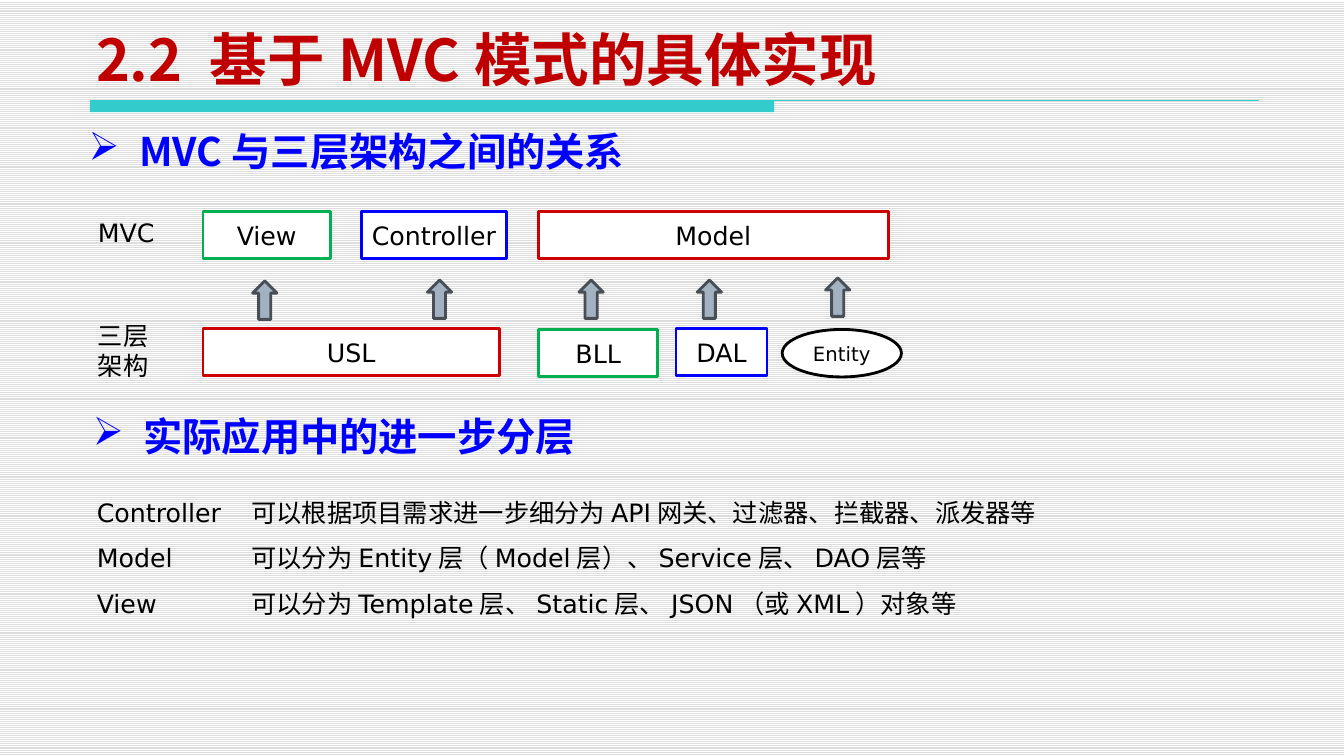
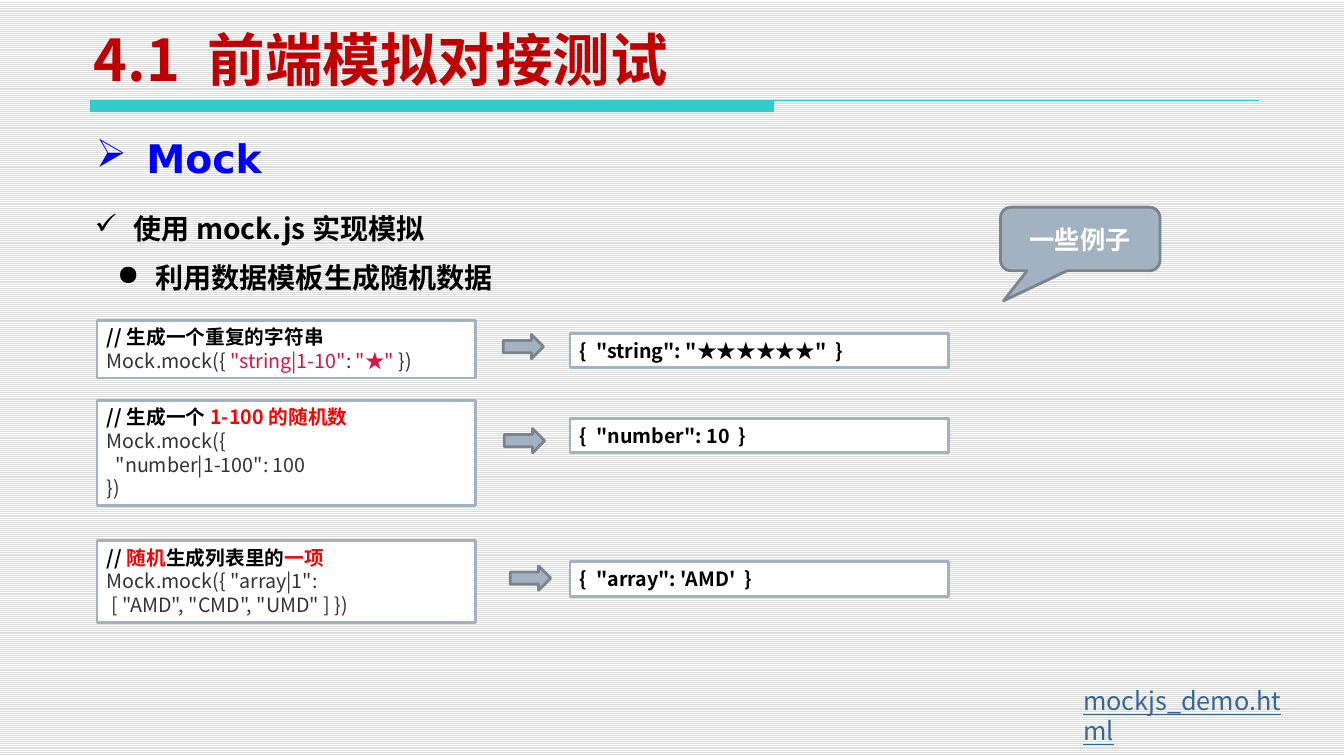
from lxml.etree import SubElement
from pptx import Presentation
from pptx.dml.color import RGBColor
from pptx.enum.dml import MSO_PATTERN
from pptx.enum.shapes import MSO_CONNECTOR, MSO_SHAPE
from pptx.enum.text import MSO_ANCHOR, MSO_AUTO_SIZE, PP_ALIGN
from pptx.oxml.ns import qn
from pptx.util import Pt

PX = 9144  # 100 px to the inch
SANS, CJK = "DejaVu Sans", "Noto Sans CJK SC"
COLORS = {
    "paper": "FFFFFF", "stripe": "DDDDDD", "band": "33CCCC", "title": "C00000",
    "blue": "0000FF", "red": "CC0000", "green": "00B050", "ink": "000000",
    "steel": "A3B2C1", "steel_edge": "79848F", "steel_dark": "474E55",
    "code": "333333", "string": "DD1144", "accent": "FF0000", "link": "336699",
}

# Slide 1 content
MVC_TITLE = "2.2 基于MVC模式的具体实现"
MVC_HEADINGS = [("MVC与三层架构之间的关系", 78, 121), ("实际应用中的进一步分层", 82, 403)]
ROW_LABELS = [(["MVC"], 77, 210, 40), (["三层", "架构"], 74, 312, 71)]
LAYERS = [  # text, left, top, width, edge
    ("View", 201, 209, 126, "green"),
    ("Controller", 358, 209, 143, "blue"),
    ("Model", 533, 209, 346, "red"),
    ("USL", 201, 325, 293, "red"),
    ("BLL", 533, 326, 118, "green"),
    ("DAL", 669, 325, 90, "blue"),
    ("Entity", 774, 326, 118, "ink"),
]
LAYER_HEIGHT = 47
UP_ARROWS = [(250, 278), (423, 277), (573, 277), (690, 277), (817, 275)]
SUBLAYERS = [
    ("Controller", "可以根据项目需求进一步细分为API网关、过滤器、拦截器、派发器等"),
    ("Model", "可以分为Entity层（Model层）、Service层、DAO层等"),
    ("View", "可以分为Template层、Static层、JSON（或XML）对象等"),
]
SUBLAYER_TAB = 153

# Slide 2 content: a line is a list of (text, colour, bold)
MOCK_TITLE = "4.1 前端模拟对接测试"
MOCK_POINTS = [("使用mock.js实现模拟", "✓", 84, 188, 945),
               ("利用数据模板生成随机数据", "●", 106, 236, 472)]
EXAMPLES = [
    {"code": [[("//生成一个重复的字符串", "ink", True)],
              [("Mock.mock({ ", "code", False), ('"string|1-10"', "string", False),
               (": ", "code", False), ('"★"', "string", False), (" })", "code", False)]],
     "code_box": (317, 57), "arrow": (498, 331),
     "result": '{  "string": "★★★★★★"  }', "result_top": 330},
    {"code": [[("//生成一个", "ink", True), ("1-100的随机数", "accent", True)],
              [("Mock.mock({", "code", False)],
              [('  "number|1-100": 100', "code", False)],
              [("})", "code", False)]],
     "code_box": (396, 104), "arrow": (499, 424),
     "result": '{  "number": 10  }', "result_top": 414},
    {"code": [[("//", "ink", True), ("随机", "accent", True),
               ("生成列表里的", "ink", True), ("一项", "accent", True)],
              [('Mock.mock({ "array|1":', "code", False)],
              [(' [ "AMD", "CMD", "UMD" ] })', "code", False)]],
     "code_box": (535, 81), "arrow": (505, 560),
     "result": "{  \"array\": 'AMD'  }", "result_top": 556},
]
CODE_LEFT, RESULT_LEFT, EXAMPLE_WIDTH, RESULT_HEIGHT = 96, 564, 375, 34


def rgb(name):
    return RGBColor.from_string(COLORS[name])


def emu(*lengths):
    return [length * PX for length in lengths]


def write(shape, lines, size, font=CJK, color="ink", bold=False, align=PP_ALIGN.LEFT,
          anchor=MSO_ANCHOR.TOP, spacing=None, wrap=True):
    """Fill a shape with lines, each a string or a list of (text, colour, bold)."""
    frame = shape.text_frame
    frame.word_wrap, frame.auto_size = wrap, MSO_AUTO_SIZE.NONE
    frame.vertical_anchor = anchor
    for number, line in enumerate(lines):
        paragraph = frame.add_paragraph() if number else frame.paragraphs[0]
        paragraph.alignment = align
        if spacing:
            paragraph.line_spacing = spacing
        parts = [(line, color, bold)] if isinstance(line, str) else line
        for text, part_color, part_bold in parts:
            run = paragraph.add_run()
            run.text = text
            run.font.size, run.font.name, run.font.bold = Pt(size), font, part_bold
            run.font.color.rgb = rgb(part_color)
            SubElement(run.font._element, qn("a:ea"), typeface=CJK)
    return frame


def add_text(slide, box, lines, size, **style):
    return write(slide.shapes.add_textbox(*emu(*box)), lines, size, **style)


def add_box(slide, kind, box, fill, edge=None):
    shape = slide.shapes.add_shape(kind, *emu(*box))
    shape.shadow.inherit = False
    shape.fill.solid()
    shape.fill.fore_color.rgb = rgb(fill)
    if edge:
        shape.line.color.rgb = rgb(edge)
        shape.line.width = Pt(2)
    else:
        shape.line.fill.background()
    return shape


def add_bullet(paragraph, mark, indent):
    properties = paragraph._p.get_or_add_pPr()
    properties.set("marL", str(indent * PX))
    properties.set("indent", str(-indent * PX))
    SubElement(properties, qn("a:buChar"), char=mark)


def add_heading(slide, text, left, top, font=CJK):
    frame = add_text(slide, (left, top, 850, 58), [text], 28, font=font,
                     color="blue", bold=True)
    add_bullet(frame.paragraphs[0], "➢", 50)


def add_slide(deck, title, left):
    slide = deck.slides.add_slide(deck.slide_layouts[5])
    # Band and rule under the title
    add_box(slide, MSO_SHAPE.RECTANGLE, (89, 99, 677, 12), "band")
    rule = slide.shapes.add_connector(MSO_CONNECTOR.STRAIGHT, *emu(89, 99, 1246, 99))
    rule.line.color.rgb = rgb("band")
    rule.line.width = Pt(0.75)
    SubElement(rule._element.spPr, qn("a:effectLst"))
    # Title
    heading = slide.shapes.title
    heading.left, heading.top, heading.width, heading.height = emu(left, 28, 975, 69)
    write(heading, [title], 41, color="title", bold=True, anchor=MSO_ANCHOR.BOTTOM)
    return slide


def build_mvc(deck):
    slide = add_slide(deck, MVC_TITLE, 85)
    for text, left, top in MVC_HEADINGS:
        add_heading(slide, text, left, top)
    # Layers of both architectures
    for lines, left, top, height in ROW_LABELS:
        add_text(slide, (left, top, 96, height), lines, 18, font=SANS,
                 align=PP_ALIGN.CENTER)
    for text, left, top, width, edge in LAYERS:
        entity = text == "Entity"
        kind = MSO_SHAPE.OVAL if entity else MSO_SHAPE.RECTANGLE
        layer = add_box(slide, kind, (left, top, width, LAYER_HEIGHT), "paper", edge)
        write(layer, [text], 14 if entity else 18, font=SANS, wrap=False,
              align=PP_ALIGN.CENTER, anchor=MSO_ANCHOR.MIDDLE)
    for left, top in UP_ARROWS:
        add_box(slide, MSO_SHAPE.UP_ARROW, (left, top, 24, 38), "steel", "steel_dark")
    # Finer layers, in two columns
    rows = [f"{name}\t{detail}" for name, detail in SUBLAYERS]
    frame = add_text(slide, (86, 472, 1000, 140), rows, 18, font=SANS, spacing=1.5)
    for paragraph in frame.paragraphs:
        tabs = SubElement(paragraph._p.get_or_add_pPr(), qn("a:tabLst"))
        SubElement(tabs, qn("a:tab"), pos=str(SUBLAYER_TAB * PX), algn="l")


def build_mock(deck):
    slide = add_slide(deck, MOCK_TITLE, 83)
    add_heading(slide, "Mock", 85, 128, font=SANS)
    for text, mark, left, top, width in MOCK_POINTS:
        frame = add_text(slide, (left, top, width, 54), [text], 20, bold=True, spacing=1.5)
        add_bullet(frame.paragraphs[0], mark, 38)
    # Code, arrow and result of each example
    for example in EXAMPLES:
        top, height = example["code_box"]
        code = add_box(slide, MSO_SHAPE.RECTANGLE,
                       (CODE_LEFT, top, EXAMPLE_WIDTH, height), "paper", "steel")
        write(code, example["code"], 14)
        add_box(slide, MSO_SHAPE.RIGHT_ARROW, (*example["arrow"], 40, 24),
                "steel", "steel_edge")
        result = add_box(slide, MSO_SHAPE.RECTANGLE,
                         (RESULT_LEFT, example["result_top"], EXAMPLE_WIDTH, RESULT_HEIGHT),
                         "paper", "steel")
        write(result, [example["result"]], 14, bold=True)
    # Callout and demo file
    callout = add_box(slide, MSO_SHAPE.ROUNDED_RECTANGULAR_CALLOUT, (990, 205, 158, 63),
                      "steel", "steel_edge")
    for index, value in enumerate((-0.48, 0.97, 0.17)):
        callout.adjustments[index] = value
    write(callout, ["一些例子"], 18, color="paper", bold=True,
          align=PP_ALIGN.CENTER, anchor=MSO_ANCHOR.MIDDLE)
    demo = add_text(slide, (1062, 673, 228, 40), ["mockjs_demo.html"], 18, color="link")
    demo.paragraphs[0].runs[0].font.underline = True


def main():
    deck = Presentation()
    deck.slide_width, deck.slide_height = emu(1330, 748)
    # Striped paper shared by all slides
    paper = deck.slide_master.background.fill
    paper.patterned()
    paper.pattern = MSO_PATTERN.LIGHT_HORIZONTAL
    paper.fore_color.rgb = rgb("stripe")
    paper.back_color.rgb = rgb("paper")
    build_mvc(deck)
    build_mock(deck)
    deck.save("out.pptx")


if __name__ == "__main__":
    main()
